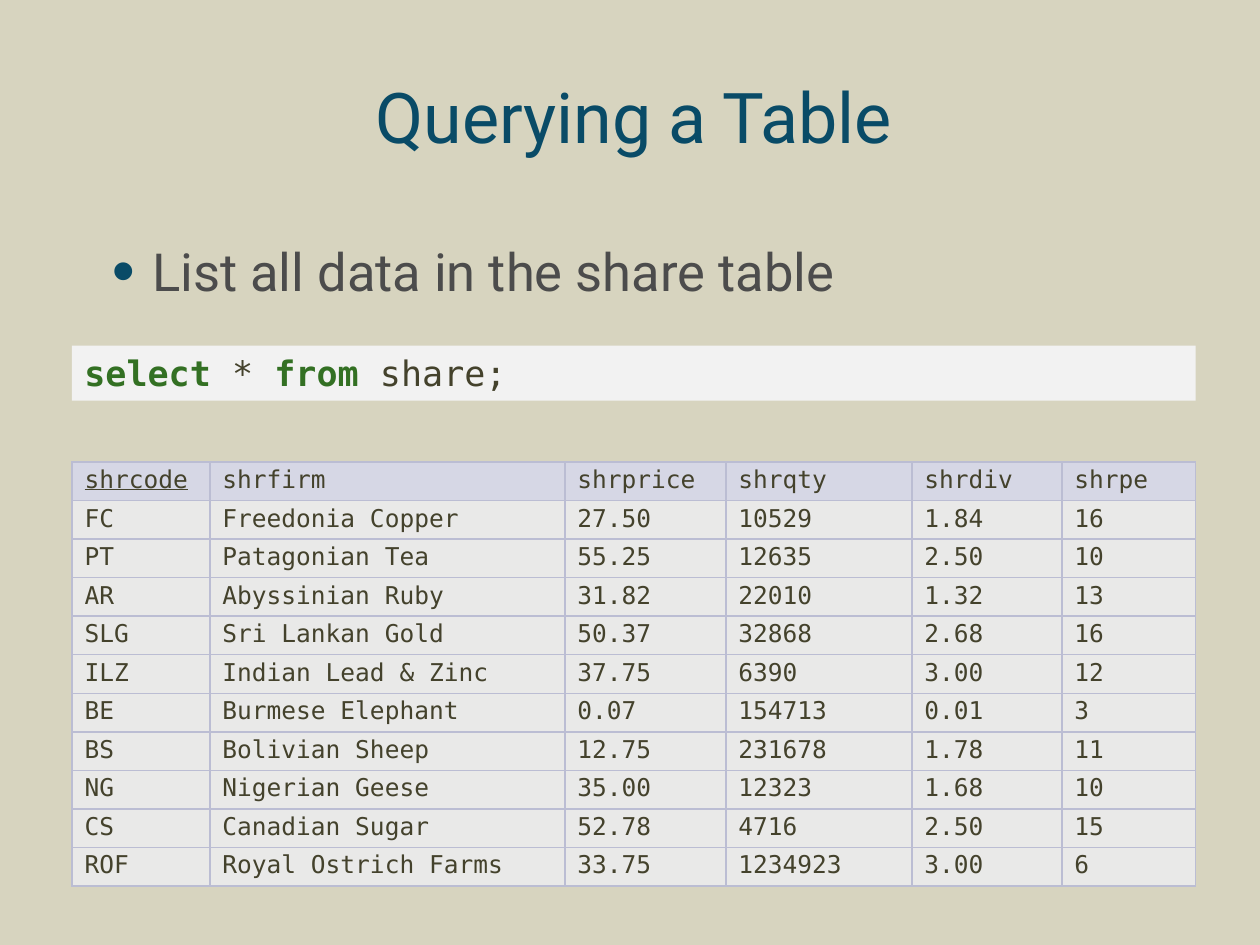
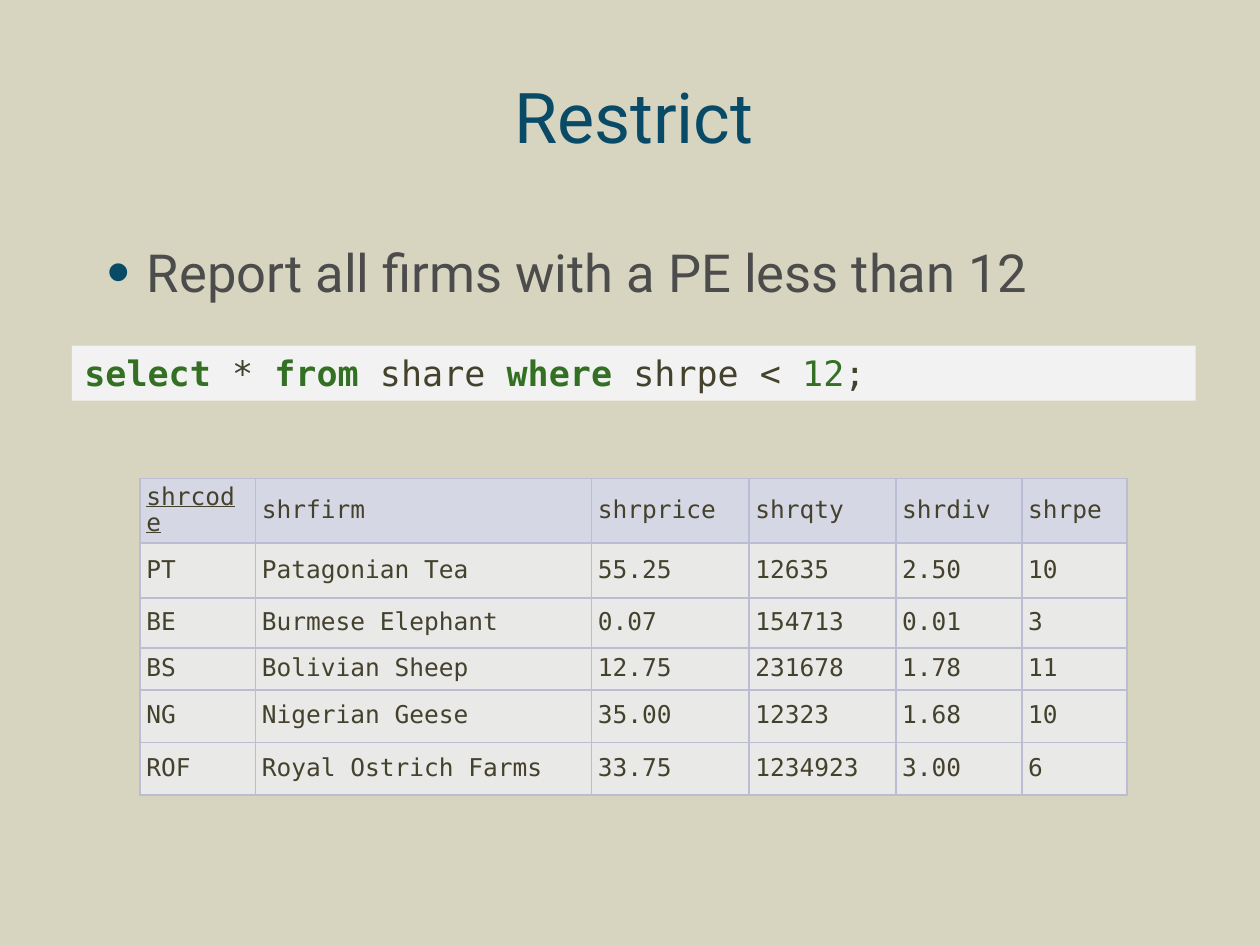
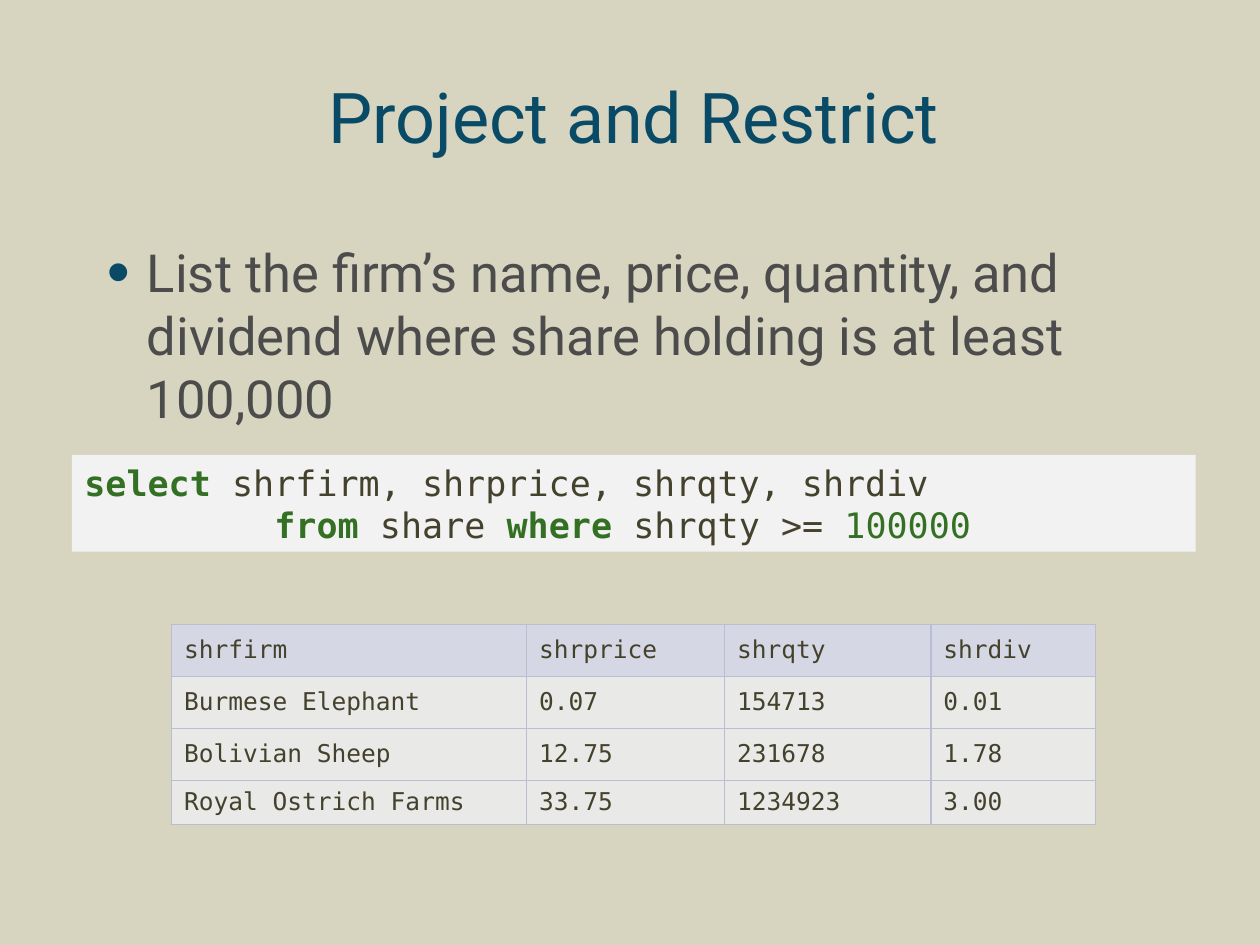
from dataclasses import dataclass
from typing import NamedTuple

from lxml.etree import SubElement
from pptx import Presentation
from pptx.dml.color import RGBColor
from pptx.enum.shapes import MSO_SHAPE as Preset
from pptx.enum.text import MSO_ANCHOR as Anchor, PP_ALIGN as Align
from pptx.oxml import parse_xml
from pptx.oxml.ns import nsdecls, qn
from pptx.util import Pt


@dataclass(frozen=True)
class Theme:
    background: str = "D7D4BF"
    accent: str = "094B67"
    body: str = "4C4C4C"
    code: str = "44422C"
    keyword: str = "337023"
    code_fill: str = "F2F2F2"
    header_fill: str = "D6D7E5"
    row_fill: str = "E9E9E8"
    border: str = "BBBDD3"
    text_font: str = "Roboto"
    code_font: str = "DejaVu Sans Mono"
    title_size: float = 40
    body_size: float = 30
    code_size: float = 20
    cell_size: float = 14


class Box(NamedTuple):
    left: float
    top: float
    width: float
    height: float

    def lengths(self):
        return [Pt(value) for value in self]


THEME = Theme()
TITLE_BOX = Box(43.2, 22.3, 637.9, 87.1)
CODE_LEFT, CODE_WIDTH = 41.1, 642.2
BODY_LEFT, BODY_TOP, BODY_WIDTH = 43.2, 133.2, 637.9

HEADER = ("shrcode", "shrfirm", "shrprice", "shrqty", "shrdiv", "shrpe")
SHARES = [
    ("FC", "Freedonia Copper", "27.50", "10529", "1.84", "16"),
    ("PT", "Patagonian Tea", "55.25", "12635", "2.50", "10"),
    ("AR", "Abyssinian Ruby", "31.82", "22010", "1.32", "13"),
    ("SLG", "Sri Lankan Gold", "50.37", "32868", "2.68", "16"),
    ("ILZ", "Indian Lead & Zinc", "37.75", "6390", "3.00", "12"),
    ("BE", "Burmese Elephant", "0.07", "154713", "0.01", "3"),
    ("BS", "Bolivian Sheep", "12.75", "231678", "1.78", "11"),
    ("NG", "Nigerian Geese", "35.00", "12323", "1.68", "10"),
    ("CS", "Canadian Sugar", "52.78", "4716", "2.50", "15"),
    ("ROF", "Royal Ostrich Farms", "33.75", "1234923", "3.00", "6"),
]


def rgb(color):
    return RGBColor.from_string(color)


def set_font(font, name, size, color):
    font.name = name
    font.size = Pt(size)
    font.color.rgb = rgb(color)


def set_margins(target, horizontal, vertical):
    target.margin_left = target.margin_right = Pt(horizontal)
    target.margin_top = target.margin_bottom = Pt(vertical)


def add_title(slide, box, text):
    frame = slide.shapes.add_textbox(*box.lengths()).text_frame
    frame.word_wrap = True
    frame.vertical_anchor = Anchor.MIDDLE
    paragraph = frame.paragraphs[0]
    paragraph.text = text
    paragraph.alignment = Align.CENTER
    set_font(paragraph.font, THEME.text_font, THEME.title_size, THEME.accent)


def add_bullet(paragraph):
    properties = paragraph._p.get_or_add_pPr()
    properties.set("marL", str(Pt(36.7)))
    properties.set("indent", str(Pt(-23)))
    color = SubElement(properties, qn("a:buClr"))
    SubElement(color, qn("a:srgbClr"), val=THEME.accent)
    SubElement(properties, qn("a:buSzPct"), val="125000")
    SubElement(properties, qn("a:buFont"), typeface="Arial")
    SubElement(properties, qn("a:buChar"), char="•")


def add_task(slide, box, text, margins):
    frame = slide.shapes.add_textbox(*box.lengths()).text_frame
    frame.word_wrap = True
    set_margins(frame, *margins)
    paragraph = frame.paragraphs[0]
    paragraph.text = text
    add_bullet(paragraph)
    set_font(paragraph.font, THEME.text_font, THEME.body_size, THEME.body)


def add_query(slide, box, lines):
    shape = slide.shapes.add_shape(Preset.RECTANGLE, *box.lengths())
    shape.shadow.inherit = False
    shape.fill.solid()
    shape.fill.fore_color.rgb = rgb(THEME.code_fill)
    shape.line.fill.background()
    frame = shape.text_frame
    frame.word_wrap = True
    frame.vertical_anchor = Anchor.TOP
    for index, line in enumerate(lines):
        paragraph = frame.add_paragraph() if index else frame.paragraphs[0]
        paragraph.alignment = Align.LEFT
        for text, kind in line:
            run = paragraph.add_run()
            run.text = text
            color = THEME.code if kind == "plain" else THEME.keyword
            set_font(run.font, THEME.code_font, THEME.code_size, color)
            run.font.bold = kind == "keyword"


def add_borders(cell):
    properties = cell._tc.get_or_add_tcPr()
    for index, side in enumerate(("lnL", "lnR", "lnT", "lnB")):
        properties.insert(index, parse_xml(
            f'<a:{side} {nsdecls("a")} w="{Pt(1)}"><a:solidFill>'
            f'<a:srgbClr val="{THEME.border}"/></a:solidFill></a:{side}>'))


def fill_cell(cell, text, fill, anchor, margins):
    cell.fill.solid()
    cell.fill.fore_color.rgb = rgb(fill)
    add_borders(cell)
    cell.vertical_anchor = anchor
    set_margins(cell, *margins)
    paragraph = cell.text_frame.paragraphs[0]
    paragraph.text = text
    paragraph.line_spacing = 0.88
    set_font(paragraph.font, THEME.code_font, THEME.cell_size, THEME.code)
    paragraph.font.underline = text == "shrcode"


def add_result(slide, left, top, rows, widths, heights, anchor, margins):
    box = Box(left, top, sum(widths), sum(heights))
    table = slide.shapes.add_table(len(rows), len(widths), *box.lengths()).table
    table.horz_banding = False
    for column, width in zip(table.columns, widths):
        column.width = Pt(width)
    for row, height in zip(table.rows, heights):
        row.height = Pt(height)
    for row_index, values in enumerate(rows):
        fill = THEME.row_fill if row_index else THEME.header_fill
        for column_index, value in enumerate(values):
            cell = table.cell(row_index, column_index)
            fill_cell(cell, value, fill, anchor, margins)


def add_query_slide(presentation, title, task, task_height, task_margins,
                    query, query_top, query_height, result):
    slide = presentation.slides.add_slide(presentation.slide_layouts[6])
    add_title(slide, TITLE_BOX, title)
    add_task(slide, Box(BODY_LEFT, BODY_TOP, BODY_WIDTH, task_height),
             task, task_margins)
    add_query(slide, Box(CODE_LEFT, query_top, CODE_WIDTH, query_height), query)
    add_result(slide, **result)


def main():
    presentation = Presentation()
    presentation.slide_width = Pt(720)
    presentation.slide_height = Pt(540)
    background = presentation.slide_master.background.fill
    background.solid()
    background.fore_color.rgb = rgb(THEME.background)

    low_pe = [share for share in SHARES if int(share[5]) < 12]
    large_holdings = [share[1:5] for share in SHARES if int(share[3]) >= 100000]

    add_query_slide(
        presentation, "Querying a Table", "List all data in the share table",
        357.1, (7.2, 3.6),
        [[("select", "keyword"), (" * ", "plain"), ("from", "keyword"),
          (" share;", "plain")]],
        197.5, 31.5,
        dict(left=41.1, top=264, rows=[HEADER, *SHARES],
             widths=[78.8, 202.9, 92, 106.3, 85.7, 76.5],
             heights=[21.71] * 11, anchor=Anchor.TOP, margins=(7.2, 3.6)))

    add_query_slide(
        presentation, "Restrict", "Report all firms with a PE less than 12",
        53.3, (4.1, 4.1),
        [[("select", "keyword"), (" * ", "plain"), ("from", "keyword"),
          (" share ", "plain"), ("where ", "keyword"), ("shrpe < ", "plain"),
          ("12", "number"), (";", "plain")]],
        197.5, 31.5,
        dict(left=80, top=273.5, rows=[HEADER, *low_pe],
             widths=[66, 192, 90, 84, 72, 60],
             heights=[36.2, 31.4, 28.6, 24, 30, 30],
             anchor=Anchor.MIDDLE, margins=(3.6, 3.6)))

    add_query_slide(
        presentation, "Project and Restrict",
        "List the firm’s name, price, quantity, and dividend where share "
        "holding is at least 100,000",
        118.8, (4.1, 4.1),
        [[("select ", "keyword"),
          ("shrfirm, shrprice, shrqty, shrdiv", "plain")],
         [("         ", "plain"), ("from", "keyword"), (" share ", "plain"),
          ("where ", "keyword"), ("shrqty >= ", "plain"),
          ("100000", "number")]],
        259.9, 55.4,
        dict(left=98, top=357, rows=[HEADER[1:5], *large_holdings],
             widths=[202.9, 113.1, 118, 94],
             heights=[29.7, 29.7, 29.7, 25.2],
             anchor=Anchor.MIDDLE, margins=(7.2, 3.6)))

    presentation.save("out.pptx")


if __name__ == "__main__":
    main()
